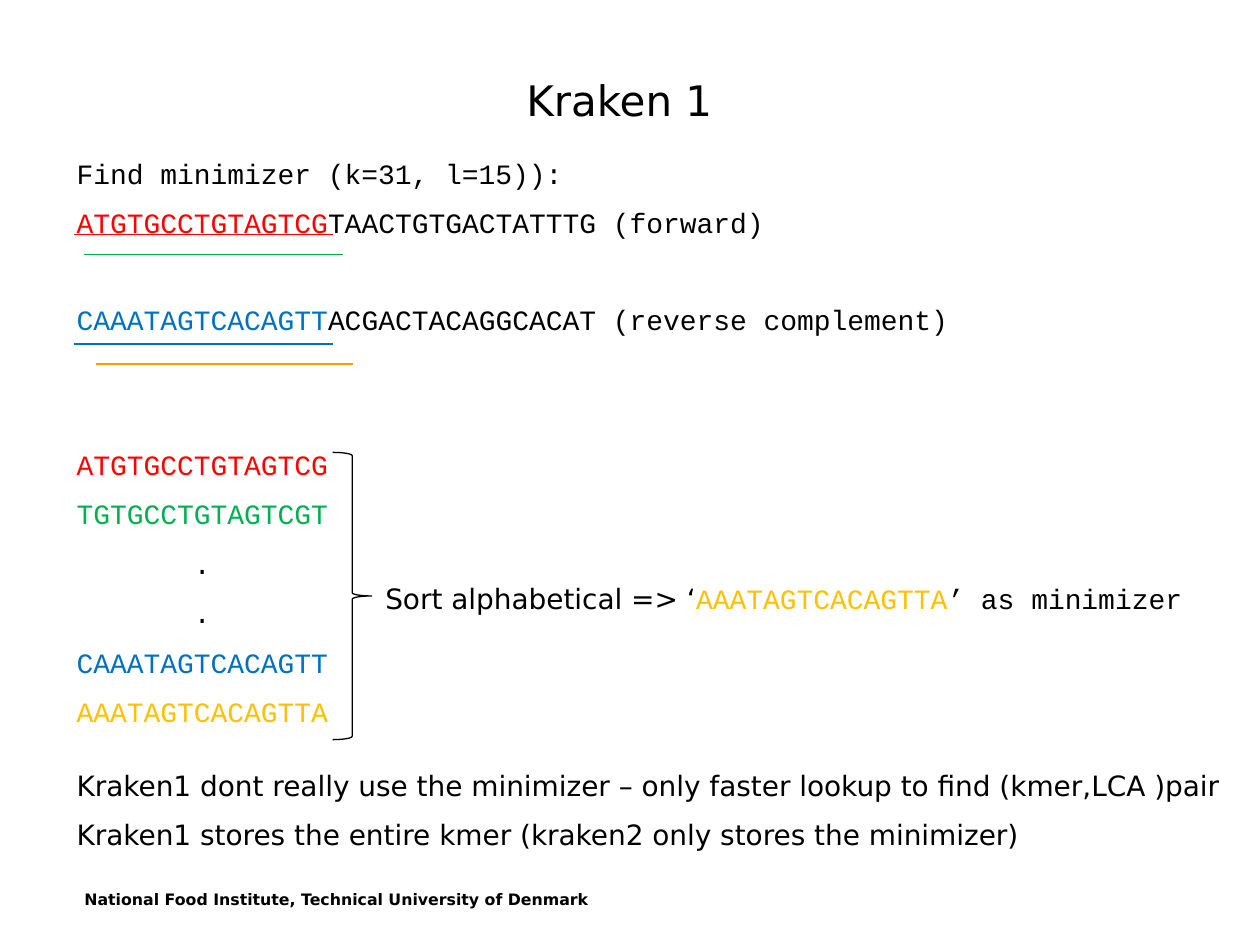
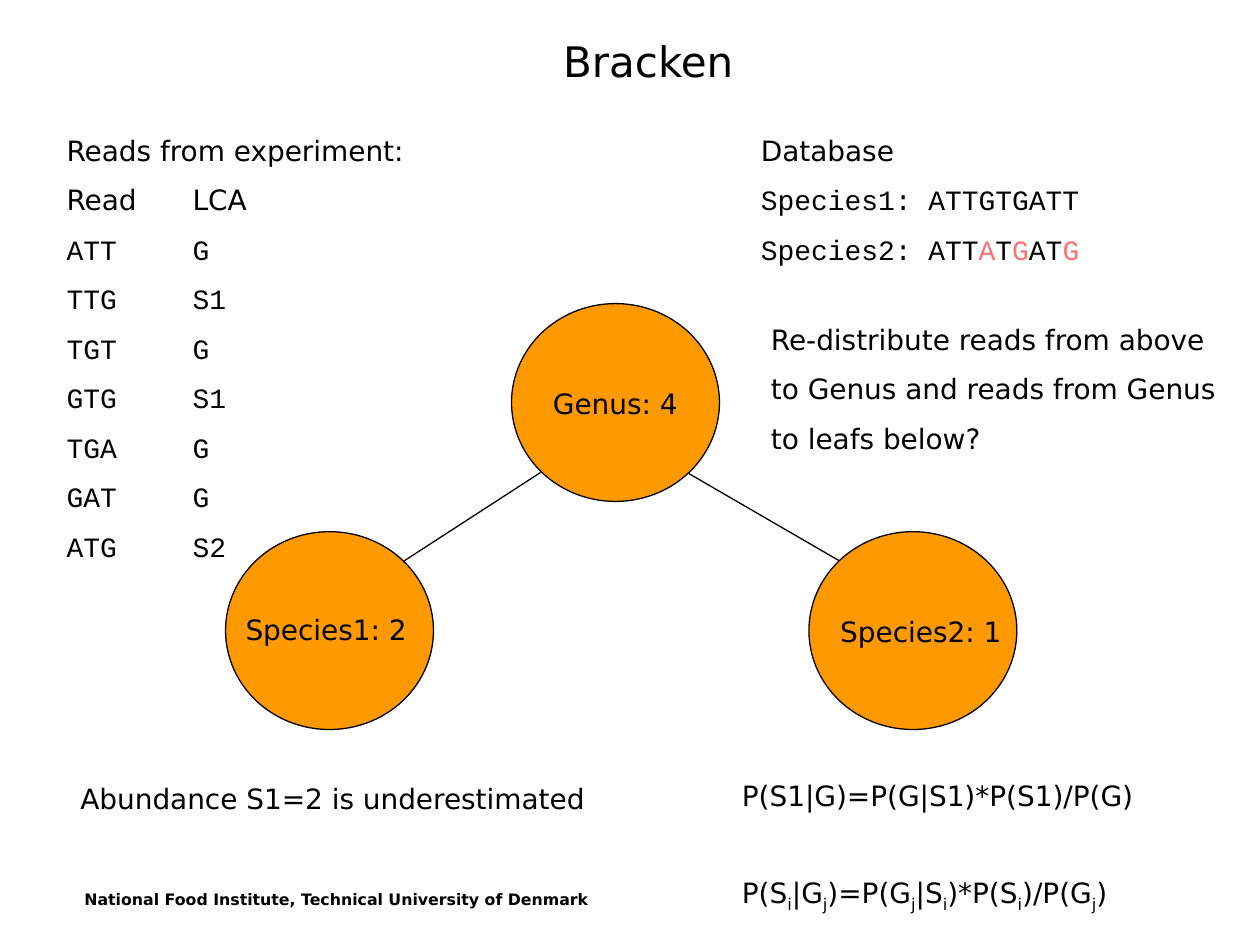
from lxml import etree
from pptx import Presentation
from pptx.dml.color import RGBColor
from pptx.enum.shapes import MSO_CONNECTOR, MSO_SHAPE
from pptx.enum.text import PP_ALIGN
from pptx.oxml.ns import qn
from pptx.util import Inches, Pt

STRAIGHT = MSO_CONNECTOR.STRAIGHT
OVAL = MSO_SHAPE.OVAL
RIGHT_BRACE = MSO_SHAPE.RIGHT_BRACE
LEFT = PP_ALIGN.LEFT
CENTER = PP_ALIGN.CENTER

SANS = "DejaVu Sans"
MONO = "Courier New"
BLACK, RED, GREEN, BLUE = "000000", "FF0000", "00B050", "0070C0"
GOLD, ORANGE, PINK = "FFC000", "FF9900", "FF7070"
GAP = 9.1
MONO_PITCH = 27.2

TITLE = {"size": Pt(24), "bold": False}
BODY = {"size": Pt(16), "bold": False}
FOOTER = {"size": Pt(9), "bold": True}


def rgb(value):
    return RGBColor.from_string(value)


def write(slide, box, paragraphs, style=BODY, align=LEFT, inset=(0.1, 0.05)):
    frame = slide.shapes.add_textbox(*map(Inches, box)).text_frame
    frame.word_wrap = True
    frame.margin_left = frame.margin_right = Inches(inset[0])
    frame.margin_top = frame.margin_bottom = Inches(inset[1])
    for index, runs in enumerate(paragraphs):
        paragraph = frame.add_paragraph() if index else frame.paragraphs[0]
        paragraph.alignment = align
        paragraph.space_before = Pt(GAP if index else 0)
        for text, font, color in runs:
            run = paragraph.add_run()
            run.text = text
            run.font.name = font
            run.font.color.rgb = rgb(color)
            for key, value in style.items():
                setattr(run.font, key, value)
    return frame


prs = Presentation()
prs.slide_width = Inches(10)
prs.slide_height = Inches(7.5)
kraken, bracken = [prs.slides.add_slide(prs.slide_layouts[6]) for _ in range(2)]

for slide, title, left, top in [
    (kraken, "Kraken 1", 1.54, 0.54),
    (bracken, "Bracken", 1.77, 0.23),
]:
    write(slide, (left, top, 6.75, 0.5), [[(title, SANS, BLACK)]], TITLE, CENTER)
    write(slide, (0.67, 7.06, 4.5, 0.33),
          [[("National Food Institute, Technical University of Denmark", SANS, BLACK)]],
          FOOTER, inset=(0, 0))

minimizers = write(kraken, (0.51, 1.19, 7.22, 4.81), [
    [("Find minimizer (k=31, l=15)):", MONO, BLACK)],
    [("ATGTGCCTGTAGTCG", MONO, RED), ("TAACTGTGACTATTTG (forward)", MONO, BLACK)],
    [("CAAATAGTCACAGTT", MONO, BLUE),
     ("ACGACTACAGGCACAT (reverse complement)", MONO, BLACK)],
    [("ATGTGCCTGTAGTCG", MONO, RED)],
    [("TGTGCCTGTAGTCGT", MONO, GREEN)],
    [(".", MONO, BLACK)],
    [(".", MONO, BLACK)],
    [("CAAATAGTCACAGTT", MONO, BLUE)],
    [("AAATAGTCACAGTTA", MONO, GOLD)],
]).paragraphs
minimizers[2].space_before = Pt(GAP + MONO_PITCH)
minimizers[3].space_before = Pt(GAP + 2 * MONO_PITCH)
for dot in minimizers[5:7]:
    properties = dot._p.get_or_add_pPr()
    properties.set("marL", str(Inches(0.93)))
    properties.set("indent", "0")

brace = kraken.shapes.add_shape(
    RIGHT_BRACE, Inches(2.64), Inches(3.59), Inches(0.31), Inches(2.28))
brace.shadow.inherit = False
brace.fill.background()
brace.line.color.rgb = rgb(BLACK)
brace.line.width = Pt(0.75)

write(kraken, (2.96, 4.57, 6.77, 0.4), [
    [("Sort alphabetical => ‘", SANS, BLACK), ("AAATAGTCACAGTTA", MONO, GOLD),
     ("’ as minimizer", MONO, BLACK)],
])
write(kraken, (0.51, 6.05, 9.45, 0.77), [
    [("Kraken1 dont really use the minimizer – only faster lookup to find "
      "(kmer,LCA )pair", SANS, BLACK)],
    [("Kraken1 stores the entire kmer (kraken2 only stores the minimizer)", SANS, BLACK)],
])

for left, top in [(1.79, 4.22), (6.42, 4.22), (4.06, 2.41)]:
    taxon = bracken.shapes.add_shape(
        OVAL, Inches(left), Inches(top), Inches(1.65), Inches(1.57))
    taxon.shadow.inherit = False
    taxon.fill.solid()
    taxon.fill.fore_color.rgb = rgb(ORANGE)
    taxon.line.color.rgb = rgb(BLACK)
    taxon.line.width = Pt(0.75)

for text, box in [
    ("Genus: 4", (4.29, 3.02, 1.25, 0.37)),
    ("Species1: 2", (1.85, 4.81, 1.55, 0.37)),
    ("Species2: 1", (6.57, 4.83, 1.55, 0.37)),
    ("Abundance S1=2 is underestimated", (0.54, 6.15, 4.33, 0.37)),
]:
    write(bracken, box, [[(text, SANS, BLACK)]])

write(bracken, (5.94, 1.01, 2.8, 1.18), [
    [("Database", SANS, BLACK)],
    [("Species1: ATTGTGATT", MONO, BLACK)],
    [("Species2: ATT", MONO, BLACK), ("A", MONO, PINK), ("T", MONO, BLACK),
     ("G", MONO, PINK), ("AT", MONO, BLACK), ("G", MONO, PINK)],
])

lca_by_read = {"ATT": "G", "TTG": "S1", "TGT": "G", "GTG": "S1",
               "TGA": "G", "GAT": "G", "ATG": "S2"}
reads = write(bracken, (0.43, 1.01, 2.95, 4.41), [
    [("Reads from experiment:", SANS, BLACK)],
    [("Read\tLCA", SANS, BLACK)],
    *[[(f"{read}\t{lca}", MONO, BLACK)] for read, lca in lca_by_read.items()],
])
for row in reads.paragraphs[1:]:
    stops = etree.SubElement(row._p.get_or_add_pPr(), qn("a:tabLst"))
    etree.SubElement(stops, qn("a:tab"), pos=str(Inches(1)), algn="l")

write(bracken, (6.02, 2.51, 3.81, 1.18), [
    [(line, SANS, BLACK)] for line in (
        "Re-distribute reads from above",
        "to Genus and reads from Genus",
        "to leafs below?",
    )
])

indexed_terms = ["P(S", "i", "|G", "j", ")=P(G", "j", "|S", "i",
                 ")*P(S", "i", ")/P(G", "j", ")"]
bayes = write(bracken, (5.79, 6.13, 3.6, 1.18), [
    [("P(S1|G)=P(G|S1)*P(S1)/P(G)", SANS, BLACK)],
    [(term, SANS, BLACK) for term in indexed_terms],
]).paragraphs[1]
bayes.space_before = Pt(GAP + MONO_PITCH)
for subscript in bayes.runs[1::2]:
    subscript._r.get_or_add_rPr().set("baseline", "-25000")

for slide, start, end, color in [
    (kraken, (0.59, 1.86), (2.64, 1.86), RED),
    (kraken, (0.67, 2.02), (2.72, 2.02), GREEN),
    (kraken, (0.59, 2.73), (2.64, 2.73), BLUE),
    (kraken, (0.76, 2.89), (2.8, 2.89), ORANGE),
    (bracken, (4.29, 3.75), (3.21, 4.45), BLACK),
    (bracken, (5.47, 3.76), (6.66, 4.45), BLACK),
]:
    stroke = slide.shapes.add_connector(STRAIGHT, *map(Inches, start + end))
    stroke.line.color.rgb = rgb(color)
    stroke.line.width = Pt(0.75)
    etree.SubElement(stroke._element.spPr, qn("a:effectLst"))

prs.save("out.pptx")
